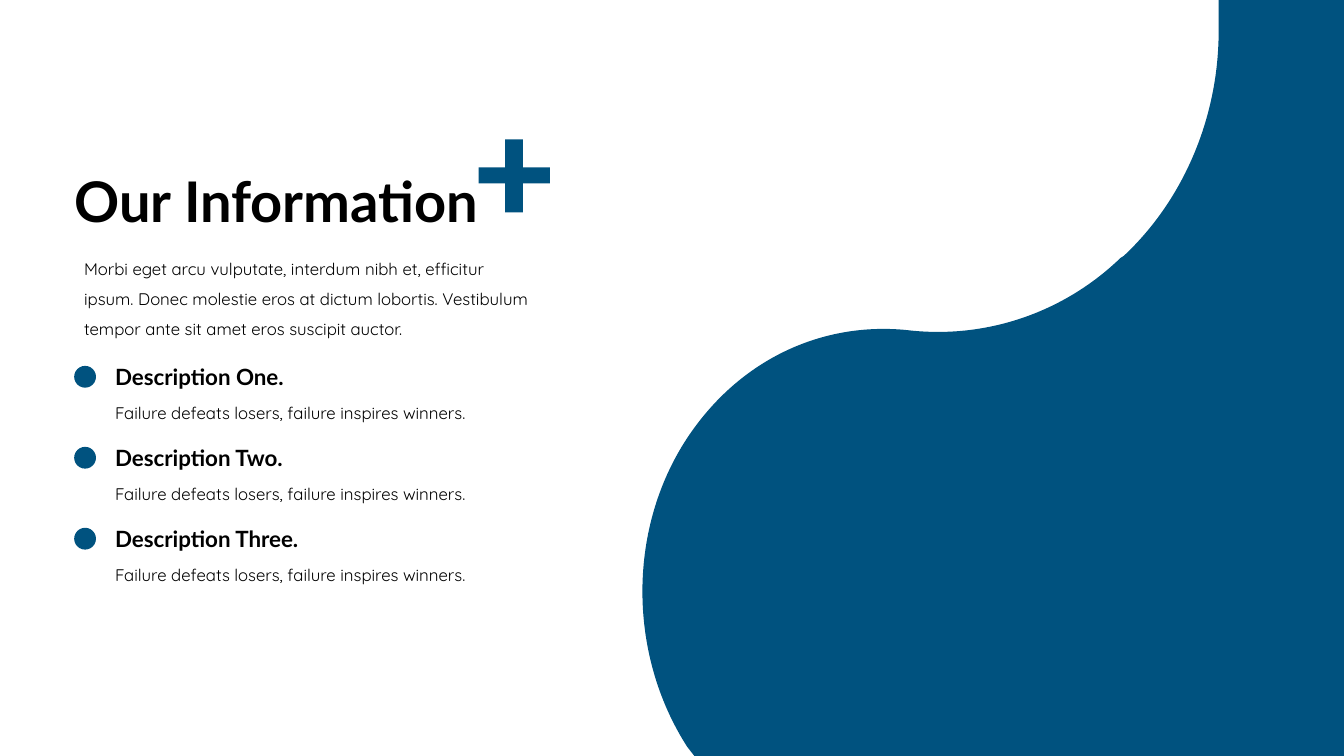
import pptx
import pptx.util
import pptx.dml.color
import pptx.enum.shapes
import pptx.enum.text
import pptx.oxml.ns
import lxml.etree

Cm = pptx.util.Cm
Pt = pptx.util.Pt
ALIGN = pptx.enum.text.PP_ALIGN
ANCHOR = pptx.enum.text.MSO_ANCHOR
FIT = pptx.enum.text.MSO_AUTO_SIZE
qn = pptx.oxml.ns.qn

COLORS = {"blue": "00527F", "text": "000000"}
ITEMS = ["Description One.", "Description Two.", "Description Three."]
MOTTO = "Failure defeats losers, failure inspires winners."
INTRO = ("Morbi eget arcu vulputate, interdum nibh et, efficitur ipsum. "
         "Donec molestie eros at dictum lobortis. Vestibulum tempor ante "
         "sit amet eros suscipit auctor.")


def color(name):
    return pptx.dml.color.RGBColor.from_string(COLORS[name])


def paint(shape):
    shape.shadow.inherit = False
    shape.fill.solid()
    shape.fill.fore_color.rgb = color("blue")
    shape.line.fill.background()


def write(shapes, box, text, font, size, bold=False, space=None,
          align=ALIGN.LEFT, anchor=ANCHOR.TOP, fit=FIT.SHAPE_TO_FIT_TEXT):
    frame = shapes.add_textbox(*[Cm(v) for v in box]).text_frame
    frame.word_wrap = True
    frame.auto_size = fit
    frame.vertical_anchor = anchor
    frame.text = text
    para = frame.paragraphs[0]
    para.alignment = align
    para.line_spacing = space
    style = para.runs[0].font
    style.name = font
    style.size = Pt(size)
    style.bold = bold
    style.color.rgb = color("text")


def draw(shapes, points):
    points = [(Cm(x), Cm(y)) for x, y in points]
    form = shapes.build_freeform(*points[0], scale=1)
    form.add_line_segments(points[1:], close=True)
    shape = form.convert_to_shape()
    paint(shape)
    return shape


def wave(shapes):
    left, right, low = 16.18, 33.87, 19.05
    shape = draw(shapes, [(left, 0), (right, 0), (right, low), (left, low)])
    steps = [
        ("moveTo", (30.71, 0)),
        ("lnTo", (right, 0)),
        ("lnTo", (right, low)),
        ("lnTo", (17.5, low)),
        ("lnTo", (17.32, 18.82)),
        ("cubicBezTo", (15.8, 16.46), (15.8, 13.23), (17.4, 10.92)),
        ("cubicBezTo", (18.75, 8.97), (20.85, 8.08), (22.96, 8.33)),
        ("cubicBezTo", (24.89, 8.53), (26.82, 7.87), (28.24, 6.5)),
        ("cubicBezTo", (28.27, 6.48), (28.3, 6.46), (28.32, 6.45)),
        ("cubicBezTo", (29.87, 5), (30.76, 2.84), (30.71, 0.61)),
        ("close",),
    ]
    # Outline with true curves inside the frame
    trace = next(shape.element.iter(qn("a:path")))
    for child in list(trace):
        trace.remove(child)
    for kind, *points in steps:
        step = lxml.etree.SubElement(trace, qn("a:" + kind))
        for x, y in points:
            lxml.etree.SubElement(step, qn("a:pt"),
                                  x=str(Cm(x - left)), y=str(Cm(y)))


def plus(shapes):
    a, b, c, d = 12.06, 12.73, 13.18, 13.86
    e, f, g, h = 3.51, 4.22, 4.62, 5.35
    draw(shapes, [(b, e), (c, e), (c, f), (d, f), (d, g), (c, g),
                  (c, h), (b, h), (b, g), (a, g), (a, f), (b, f)])


def item(shapes, top, title):
    group = shapes.add_group_shape().shapes
    write(group, (2.65, top, 7.24, 0.94), title, "Lato", 16, bold=True,
          anchor=ANCHOR.MIDDLE)
    write(group, (2.65, top + 0.75, 10.29, 1.02), MOTTO, "Quicksand", 12,
          space=1.5, align=ALIGN.JUSTIFY)
    dot = group.add_shape(
        pptx.enum.shapes.MSO_SHAPE.OVAL,
        Cm(1.87), Cm(top + 0.2), Cm(0.55), Cm(0.55))
    paint(dot)


def main():
    deck = pptx.Presentation()
    deck.slide_width, deck.slide_height = Cm(33.87), Cm(19.05)
    shapes = deck.slides.add_slide(deck.slide_layouts[6]).shapes

    # Background wave
    wave(shapes)

    # Described points
    for i, title in enumerate(ITEMS):
        item(shapes, 9.02 + 2.04 * i, title)

    # Intro and heading
    write(shapes, (1.87, 6.13, 11.71, 2.57), INTRO, "Quicksand", 12, space=1.5)
    plus(shapes)
    write(shapes, (1.63, 3.3, 12.9, 3.68), "Our Information", "Lato", 40,
          bold=True, space=0.9, anchor=ANCHOR.MIDDLE, fit=FIT.NONE)

    deck.save("out.pptx")


if __name__ == "__main__":
    main()
